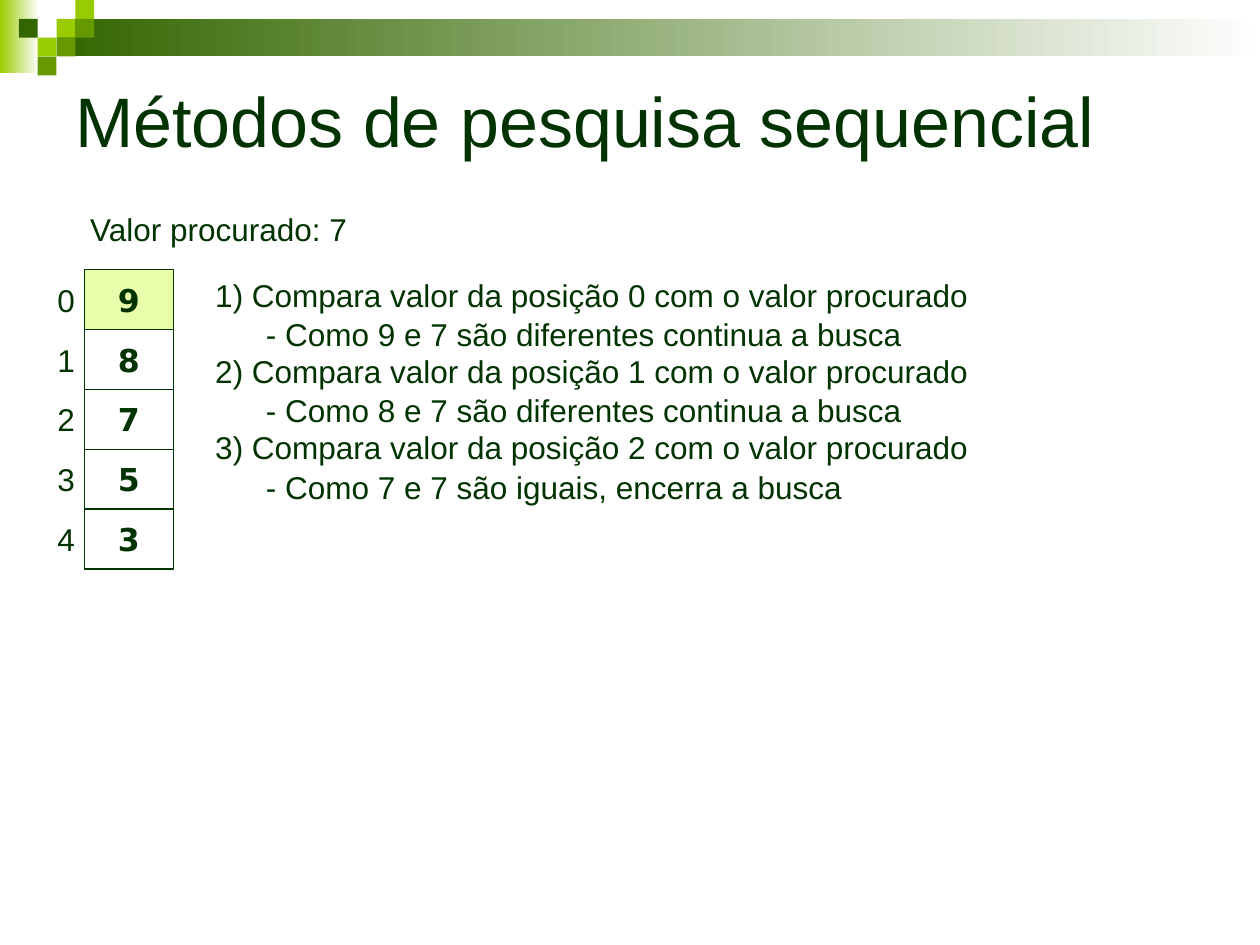
from lxml import etree
from pptx import Presentation
from pptx import util as u
from pptx.dml import color
from pptx.enum import shapes, text
from pptx.oxml import ns

DARK = "003300"


def hue(code):
    """Turn a hex string into a colour."""
    return color.RGBColor.from_string(code)


def rect(page, box, fill=None, end=None, line=None, alpha=None):
    """Draw a rectangle, plain, faded to a second colour or see-through."""
    part = page.shapes.add_shape(shapes.MSO_SHAPE.RECTANGLE, *map(u.Cm, box))
    part.shadow.inherit = False
    if end:
        part.fill.gradient()
        part.fill.gradient_angle = 0
        for stop, code in zip(part.fill.gradient_stops, (fill, end)):
            stop.color.rgb = hue(code)
    elif fill:
        part.fill.solid()
        part.fill.fore_color.rgb = hue(fill)
    else:
        part.fill.background()
    if alpha:
        tone = part.fill._xPr.find(".//" + ns.qn("a:srgbClr"))
        etree.SubElement(tone, ns.qn("a:alpha"), val=str(alpha * 1000))
    if line:
        part.line.color.rgb = hue(line)
        part.line.width = u.Pt(0.74)
    else:
        part.line.fill.background()
    return part


def write(part, words, size=18, font="Arial", bold=False, align="LEFT", wrap=False):
    """Set and format the text of a shape, centred in its height."""
    frame = part.text_frame
    frame.text = words
    frame.word_wrap = wrap
    frame.vertical_anchor = text.MSO_ANCHOR.MIDDLE
    line = frame.paragraphs[0]
    line.alignment = getattr(text.PP_ALIGN, align)
    for run in line.runs:
        run.font.size = u.Pt(size)
        run.font.name = font
        run.font.bold = bold
        run.font.color.rgb = hue(DARK)


def label(page, box, words, **style):
    """Add a text box."""
    write(page.shapes.add_textbox(*map(u.Cm, box)), words, **style)


def banner(page, left, top, width):
    """Draw the faded bar and the mosaic of squares."""
    side = 0.38
    rect(page, (left, top, 0.79, 1.47), "99CC00", "FFFFFF")
    rect(page, (left + 3 * side, top + side, width - 3 * side, 2 * side),
         "336600", "FFFFFF")
    tiles = {"99CC00": [(3, 1), (4, 0), (2, 2)],
             "669900": [(4, 1), (3, 2), (2, 3)],
             "336600": [(1, 1)]}
    for code, spots in tiles.items():
        for col, row in spots:
            rect(page, (left + col * side, top + row * side, side, side), code)


def array(page, left, top, width, height, values, found):
    """Draw the indexed cells, with one of them tinted."""
    gap = 0.79
    tall = height / len(values)
    for row, value in enumerate(values):
        y = top + row * tall
        tint = {"fill": "CCFF33", "alpha": 42} if row == found else {}
        cell = rect(page, (left + gap, y, width - gap, tall), line=DARK, **tint)
        write(cell, str(value), font="DejaVu Sans", bold=True, align="CENTER")
        label(page, (left, y, 0.86, tall), str(row))


def steps(page, left, top, width, height, notes):
    """List each comparison with its outcome indented below."""
    pitch = height / len(notes)
    inset = 1.02
    for row, note in enumerate(notes):
        y = top + row * pitch
        label(page, (left, y, width, 1.02),
              f"{row + 1}) Compara valor da posição {row} com o valor procurado")
        label(page, (left + inset, y + 0.79, width - inset, 1.02),
              f"- Como {note}")


def main():
    """Build the slide and save it."""
    deck = Presentation()
    deck.slide_width, deck.slide_height = u.Cm(25.4), u.Cm(19.05)
    page = deck.slides.add_slide(deck.slide_layouts[6])
    banner(page, 0, 0, 25.4)
    label(page, (1.27, 1.27, 22.86, 2.26), "Métodos de pesquisa sequencial",
          size=40, wrap=True)
    label(page, (1.57, 4.11, 5.72, 1.02), "Valor procurado: 7")
    array(page, 0.91, 5.44, 2.59, 6.03, [9, 8, 7, 5, 3], 0)
    steps(page, 4.09, 5.44, 15.85, 4.6,
          ["9 e 7 são diferentes continua a busca",
           "8 e 7 são diferentes continua a busca",
           "7 e 7 são iguais, encerra a busca"])
    deck.save("out.pptx")


main()
